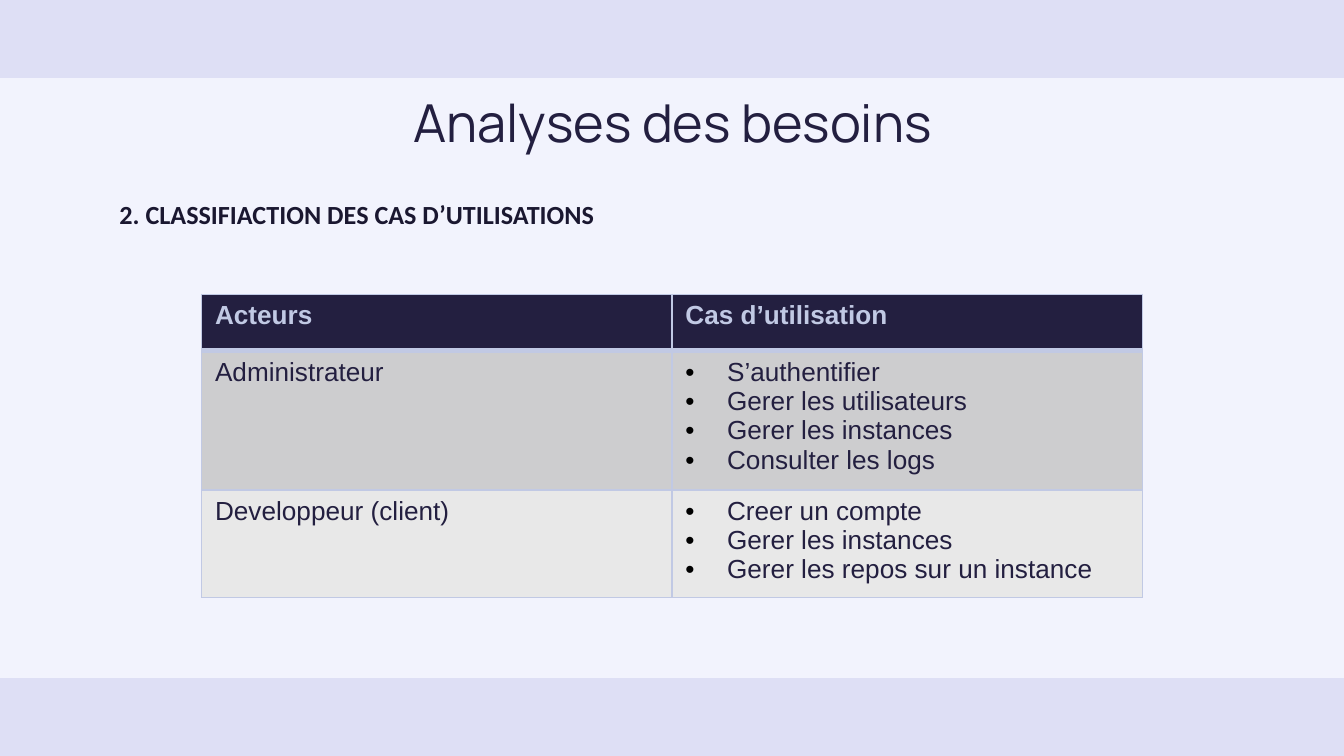
from lxml import etree
from pptx import Presentation
from pptx.dml.color import RGBColor
from pptx.enum.shapes import MSO_SHAPE
from pptx.enum.text import MSO_ANCHOR, PP_ALIGN
from pptx.oxml.ns import qn
from pptx.util import Inches, Pt

RECT = MSO_SHAPE.RECTANGLE
CENTER, LEFT = PP_ALIGN.CENTER, PP_ALIGN.LEFT
TOP, MIDDLE = MSO_ANCHOR.TOP, MSO_ANCHOR.MIDDLE

WIDTH, BAND = 10, 0.58
HEIGHT = WIDTH * 9 / 16
PAPER, LILAC, NAVY, INK = "F2F3FD", "DEDFF5", "231F40", "1A1730"
BORDER, BLACK = "C1C9E4", "000000"
STRIPES = ["CDCDCF", "E8E8E8"]

HEADS = ["Acteurs", "Cas d’utilisation"]
CASES = {
    "Administrateur": ["S’authentifier", "Gerer les utilisateurs",
                       "Gerer les instances", "Consulter les logs"],
    "Developpeur (client)": ["Creer un compte", "Gerer les instances",
                             "Gerer les repos sur un instance"],
}
ROW = 0.42


def paint(fill, color):
    fill.solid()
    fill.fore_color.rgb = RGBColor.from_string(color)


def style(para, name, size, color, bold=False):
    font = para.font
    font.name, font.size, font.bold = name, Pt(size), bold
    font.color.rgb = RGBColor.from_string(color)


def add_band(slide, top):
    band = slide.shapes.add_shape(
        RECT, 0, Inches(top), Inches(WIDTH), Inches(BAND))
    band.shadow.inherit = False
    paint(band.fill, LILAC)
    band.line.fill.background()


def add_text(slide, top, height, text, align, anchor):
    box = slide.shapes.add_textbox(
        Inches(0.79), Inches(top), Inches(8.43), Inches(height))
    frame = box.text_frame
    frame.word_wrap = True
    frame.vertical_anchor = anchor
    frame.margin_left = frame.margin_right = Inches(0.1)
    frame.margin_top = frame.margin_bottom = Inches(0.1)
    para = frame.paragraphs[0]
    para.text, para.alignment = text, align
    return para


def add_bullet(para):
    props = para._p.get_or_add_pPr()
    props.set("marL", str(Inches(0.31)))
    props.set("indent", str(-Inches(0.31)))
    tint = etree.SubElement(props, qn("a:buClr"))
    etree.SubElement(tint, qn("a:srgbClr"), val=BLACK)
    etree.SubElement(props, qn("a:buFont"), typeface="Arial")
    etree.SubElement(props, qn("a:buChar"), char="•")


def set_edges(cell, base):
    props = cell._tc.get_or_add_tcPr()
    for side, width in {"L": 1, "R": 1, "T": 1, "B": base}.items():
        line = etree.SubElement(props, qn("a:ln" + side), w=str(Pt(width)))
        fill = etree.SubElement(line, qn("a:solidFill"))
        etree.SubElement(fill, qn("a:srgbClr"), val=BORDER)


def fill_cell(cell, lines, back, color, base=1, bold=False, bullets=False):
    set_edges(cell, base)
    paint(cell.fill, back)
    cell.text = "\n".join(lines)
    for para in cell.text_frame.paragraphs:
        if bullets:
            add_bullet(para)
        style(para, "Arial", 14, color, bold)
        # The paragraph mark would else keep 18 pt and stretch the row
        etree.SubElement(para._p, qn("a:endParaRPr"), sz="1400")


def add_cases(slide):
    count = len(CASES) + 1
    table = slide.shapes.add_table(
        count, len(HEADS), Inches(1.5), Inches(2.19),
        Inches(7), Inches(ROW * count)).table

    # Header, with a thick rule below it
    for col, head in enumerate(HEADS):
        fill_cell(table.cell(0, col), [head], NAVY, BORDER, base=3, bold=True)

    # One row for each actor; rows grow with their text
    for row, (actor, cases) in enumerate(CASES.items(), 1):
        back = STRIPES[row - 1]
        fill_cell(table.cell(row, 0), [actor], back, NAVY)
        fill_cell(table.cell(row, 1), cases, back, NAVY, bullets=True)


def main():
    deck = Presentation()
    deck.slide_width, deck.slide_height = Inches(WIDTH), Inches(HEIGHT)
    slide = deck.slides.add_slide(deck.slide_layouts[6])
    paint(slide.background.fill, PAPER)

    # Bands at the top and bottom
    for top in (0, HEIGHT - BAND):
        add_band(slide, top)

    # Title and heading
    title = add_text(slide, 0.59, 0.63, "Analyses des besoins", CENTER, MIDDLE)
    style(title, "Manrope", 28, NAVY)
    head = add_text(slide, 1.26, 3.73,
                    "2. CLASSIFIACTION DES CAS D’UTILISATIONS", LEFT, TOP)
    head.line_spacing = 1.5
    style(head, "Calibri", 14, INK, bold=True)

    # Actors and their use cases
    add_cases(slide)
    deck.save("out.pptx")


if __name__ == "__main__":
    main()
